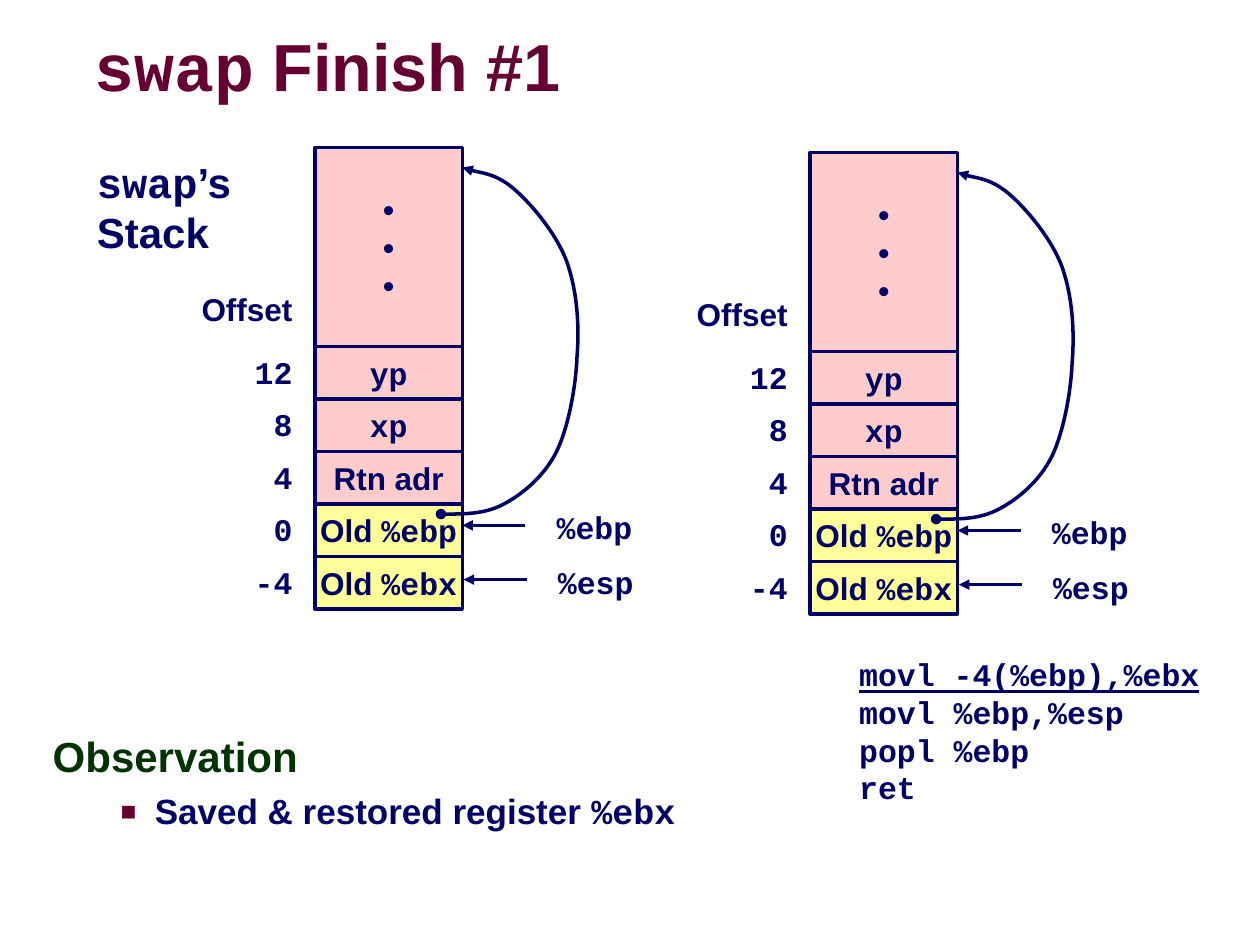
from pptx import Presentation
from pptx.dml.color import RGBColor
from pptx.enum.shapes import MSO_CONNECTOR as CONN, MSO_SHAPE as SHAPE
from pptx.enum.text import MSO_ANCHOR as ANCHOR, PP_ALIGN as ALIGN
from pptx.oxml import parse_xml
from pptx.oxml.ns import nsdecls, qn
from pptx.util import Inches, Pt

THEME = {
    "ink": "000066", "title": "660033", "heading": "003300",
    "caller": "FFCCCC", "callee": "FFFF99", "shadow": "969696",
    "sans": "Arial", "mono": "Courier New",
    "title_size": 38, "head_size": 24, "bullet_size": 20, "size": 18, "line": 2,
}
SANS, MONO = THEME["sans"], THEME["mono"]

TITLE = [[("swap", MONO), (" Finish #1", SANS)]]
STACK_NAME = [[("swap", MONO), ("’s", SANS)], [("Stack", SANS)]]
DOTS = [[("•", SANS)]] * 3
ROWS = [
    ("12", [("yp", MONO)], "caller"),
    ("8", [("xp", MONO)], "caller"),
    ("4", [("Rtn adr", SANS)], "caller"),
    ("0", [("Old ", SANS), ("%ebp", MONO)], "callee"),
    ("-4", [("Old ", SANS), ("%ebx", MONO)], "callee"),
]
REGISTERS = [("%ebp", 1.67, 3.00, 2.81), ("%esp", 1.68, 3.43, 3.25)]
CODE = ["movl -4(%ebp),%ebx", "movl %ebp,%esp", "popl %ebp", "ret"]
OBSERVATION = [("Observation", SANS)]
FINDING = [("Saved & restored register ", SANS), ("%ebx", MONO)]

STACKS = [(2.5, 1.17), (6.43, 1.21)]
CELL_W, TOP_H, ROW_H = 1.17, 1.58, 1.25 / 3
LINK = [
    (1.00, 2.91), (1.17, 2.91), (1.35, 2.91), (1.50, 2.83),
    (1.65, 2.75), (1.82, 2.61), (1.92, 2.41),
    (2.01, 2.22), (2.07, 1.91), (2.08, 1.66),
    (2.10, 1.41), (2.08, 1.14), (2.00, 0.91),
    (1.92, 0.69), (1.72, 0.45), (1.58, 0.33),
    (1.44, 0.21), (1.24, 0.19), (1.17, 0.16),
]

prs = Presentation()
prs.slide_width, prs.slide_height = Inches(10), Inches(7.5)
s = prs.slides.add_slide(prs.slide_layouts[6])


def color(name):
    return RGBColor.from_string(THEME[name])


def write(tf, paragraphs, size="size", ink="ink", align=ALIGN.LEFT,
          anchor=ANCHOR.TOP, wrap=False, inset=None):
    tf.word_wrap = wrap
    tf.vertical_anchor = anchor
    if inset is not None:
        tf.margin_left = tf.margin_right = tf.margin_top = tf.margin_bottom = Inches(inset)
    for i, runs in enumerate(paragraphs):
        p = tf.add_paragraph() if i else tf.paragraphs[0]
        p.alignment = align
        for text, face in runs:
            r = p.add_run()
            r.text = text
            r.font.name = face
            r.font.size = Pt(THEME[size])
            r.font.bold = True
            r.font.color.rgb = color(ink)
    return tf.paragraphs


def text_box(x, y, w, h, paragraphs, **fmt):
    sp = s.shapes.add_textbox(Inches(x), Inches(y), Inches(w), Inches(h))
    return write(sp.text_frame, paragraphs, **fmt)


def cell(x, y, h, paragraphs, fill):
    sp = s.shapes.add_shape(SHAPE.RECTANGLE, Inches(x), Inches(y), Inches(CELL_W), Inches(h))
    sp.shadow.inherit = False
    sp.fill.solid()
    sp.fill.fore_color.rgb = color(fill)
    draw_line(sp)
    write(sp.text_frame, paragraphs, align=ALIGN.CENTER, anchor=ANCHOR.MIDDLE)


def draw_line(sp, **ends):
    sp.line.color.rgb = color("ink")
    sp.line.width = Pt(THEME["line"])
    for tag, kind in ends.items():
        sp.line._get_or_add_ln().append(
            parse_xml(f'<a:{tag} {nsdecls("a")} type="{kind}"/>'))


def arrow(x1, x2, y):
    c = s.shapes.add_connector(CONN.STRAIGHT, Inches(x1), Inches(y), Inches(x2), Inches(y))
    draw_line(c, tailEnd="triangle")
    c._element.spPr.append(parse_xml(f'<a:effectLst {nsdecls("a")}/>'))


def frame_link(x, y):
    points = [(Inches(x + dx), Inches(y + dy)) for dx, dy in LINK]
    builder = s.shapes.build_freeform(*points[0], scale=1.0)
    sp = builder.add_line_segments(points[1:], close=False).convert_to_shape()
    steps = list(sp._element.iter(qn("a:lnTo")))
    for i in range(0, len(steps), 3):
        curve = parse_xml(f'<a:cubicBezTo {nsdecls("a")}/>')
        steps[i].addprevious(curve)
        for step in steps[i:i + 3]:
            curve.append(step[0])
            step.getparent().remove(step)
    sp.shadow.inherit = False
    sp.fill.background()
    draw_line(sp, headEnd="oval", tailEnd="triangle")


def stack(x, y):
    cell(x, y, TOP_H, DOTS, "caller")
    text_box(x - 1, y + 1.08, 0.92, 0.4, [[("Offset", SANS)]], align=ALIGN.RIGHT)
    for i, (offset, label, fill) in enumerate(ROWS):
        top = y + TOP_H + i * ROW_H
        cell(x, top, ROW_H, [label], fill)
        text_box(x - 0.73, top, 0.65, 0.4, [[(offset, MONO)]], align=ALIGN.RIGHT)
    for name, start, arrow_y, label_y in REGISTERS:
        arrow(x + start, x + start - 0.5, y + arrow_y)
        text_box(x + start + 0.15, y + label_y, 0.8, 0.4, [[(name, MONO)]])
    frame_link(x, y)


title, = text_box(0.75, 0.25, 6.07, 0.63, TITLE, size="title_size", ink="title",
                  anchor=ANCHOR.MIDDLE, wrap=True, inset=0)
title.line_spacing = 0.87
for r in title.runs:
    r.font._element.find(qn("a:solidFill")).addnext(parse_xml(
        f'<a:effectLst {nsdecls("a")}><a:outerShdw dist="38100" dir="2700000">'
        f'<a:srgbClr val="{THEME["shadow"]}"/></a:outerShdw></a:effectLst>'))

text_box(0.67, 1.19, 1.28, 0.9, STACK_NAME, size="head_size")
for x, y in STACKS:
    stack(x, y)

code = text_box(6.22, 5.15, 3.42, 1.3, [[(line, MONO)] for line in CODE], wrap=True)
for p in code:
    p._p.get_or_add_pPr().set("marL", str(Inches(0.5)))
code[0].runs[0].font.underline = True

body = s.shapes.add_textbox(Inches(0.32), Inches(5.78), Inches(9.09), Inches(1.27)).text_frame
head, finding = write(body, [OBSERVATION, FINDING], size="bullet_size", wrap=True)
head.line_spacing = finding.line_spacing = 0.95
head.runs[0].font.size = Pt(THEME["head_size"])
head.runs[0].font.color.rgb = color("heading")
finding.space_before = Pt(6)
pPr = finding._p.get_or_add_pPr()
pPr.set("marL", str(Inches(0.81)))
pPr.set("indent", str(Inches(-0.27)))
for bullet in (f'buClr {nsdecls("a")}><a:srgbClr val="{THEME["title"]}"/></a:buClr>',
               f'buSzPct {nsdecls("a")} val="75000"/>',
               f'buFont {nsdecls("a")} typeface="{SANS}"/>',
               f'buChar {nsdecls("a")} char="■"/>'):
    pPr.append(parse_xml("<a:" + bullet))

prs.save("out.pptx")
